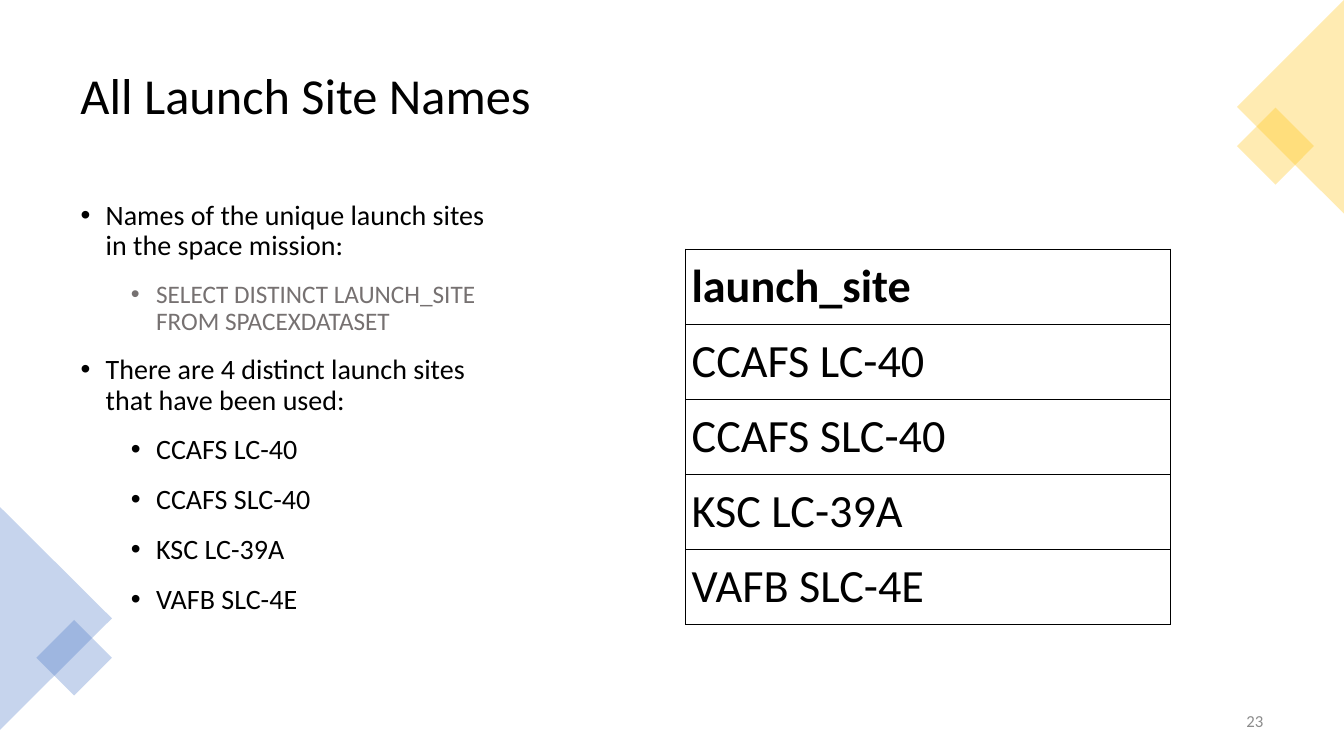
from lxml.etree import SubElement
from pptx import Presentation
from pptx.dml.color import RGBColor
from pptx.enum.shapes import MSO_SHAPE as Preset
from pptx.enum.text import MSO_ANCHOR as Anchor, PP_ALIGN as Align
from pptx.oxml.ns import qn
from pptx.util import Inches, Pt

THEME = {
    "font": "Calibri",
    "black": "000000", "white": "FFFFFF", "query": "767171", "number": "8C8C8C",
    "blue": "4472C4", "gold": "FFC000", "opacity": 30,
    "title": 36, "body": 20, "code": 18, "cell": 33, "small": 12,
}
SITES = ["CCAFS LC-40", "CCAFS SLC-40", "KSC LC-39A", "VAFB SLC-4E"]
MARGIN = 0.7


def write(paragraph, text, size, color="black", bold=False, **spacing):
    """Fill a paragraph with one styled run and set its paragraph formats."""
    run = paragraph.add_run()
    run.text = text
    font_format = {"name": THEME["font"], "size": Pt(THEME[size]), "bold": bold}
    for name, value in font_format.items():
        setattr(run.font, name, value)
    run.font.color.rgb = RGBColor.from_string(THEME[color])
    for name, value in spacing.items():
        setattr(paragraph, name, value)


def add_text_frame(left, top, width, height, anchor):
    box = slide.shapes.add_textbox(*map(Inches, (left, top, width, height)))
    box.text_frame.word_wrap = True
    box.text_frame.vertical_anchor = anchor
    return box.text_frame


presentation = Presentation()
presentation.slide_width, presentation.slide_height = Inches(13.33), Inches(7.5)
slide = presentation.slides.add_slide(presentation.slide_layouts[6])

# Title
title = add_text_frame(MARGIN, 0.35, 11.93, 1.24, Anchor.MIDDLE)
write(title.paragraphs[0], "All Launch Site Names", "title",
      line_spacing=0.9, space_after=Pt(6))

# Bullets: text, level, size, colour
bullets = [
    ("Names of the unique launch sites in the space mission:", 0, "body", "black"),
    ("SELECT DISTINCT LAUNCH_SITE FROM SPACEXDATASET", 1, "code", "query"),
    ("There are 4 distinct launch sites that have been used:", 0, "body", "black"),
] + [(site, 1, "body", "black") for site in SITES]
body = add_text_frame(MARGIN, 1.95, 4.38, 4.81, Anchor.TOP)
for index, (text, level, size, color) in enumerate(bullets):
    paragraph = body.add_paragraph() if index else body.paragraphs[0]
    properties = paragraph._p.get_or_add_pPr()
    properties.set("marL", str(Inches(0.25 + 0.5 * level)))
    properties.set("indent", str(Inches(-0.25)))
    SubElement(properties, qn("a:buFont"), typeface="Arial")
    SubElement(properties, qn("a:buChar"), char="•")
    write(paragraph, text, size, color, level=level, line_spacing=0.9,
          space_before=Pt(14 if index else 0))

# Corner ornaments: preset, centre x, centre y, width, height, rotation, colour
ornaments = [
    (Preset.ISOSCELES_TRIANGLE, 0.555, 6.135, 2.21, 1.11, 90, "blue"),
    (Preset.RECTANGLE, 0.735, 6.525, 0.53, 0.53, 45, "blue"),
    (Preset.RECTANGLE, 12.65, 1.45, 0.54, 0.54, 45, "gold"),
    (Preset.ISOSCELES_TRIANGLE, 12.8, 1.06, 2.12, 1.06, 270, "gold"),
]
for preset, center_x, center_y, width, height, rotation, color in ornaments:
    shape = slide.shapes.add_shape(preset, *map(Inches, (
        center_x - width / 2, center_y - height / 2, width, height)))
    shape.rotation = rotation
    shape.shadow.inherit = False
    shape.line.fill.background()
    shape.fill.solid()
    shape.fill.fore_color.rgb = RGBColor.from_string(THEME[color])
    fill_color = shape.element.spPr.find(qn("a:solidFill"))[0]
    SubElement(fill_color, qn("a:alpha"), val=str(THEME["opacity"] * 1000))

# Slide number
number = add_text_frame(9.63, 6.95, 3, 0.4, Anchor.MIDDLE)
write(number.paragraphs[0], "23", "small", "number",
      alignment=Align.RIGHT, space_after=Pt(6))

# Query result table
rows = ["launch_site"] + SITES
row_height = 0.745
table = slide.shapes.add_table(len(rows), 1, *map(Inches, (
    6.8, 2.47, 4.81, row_height * len(rows)))).table
table.first_row = table.horz_banding = False
cell_format = {"vertical_anchor": Anchor.MIDDLE} | {
    f"margin_{side}": Inches(0.06) for side in ("left", "right", "top", "bottom")}
for index, text in enumerate(rows):
    cell = table.cell(index, 0)
    for name, value in cell_format.items():
        setattr(cell, name, value)
    properties = cell._tc.get_or_add_tcPr()
    for edge in ("lnL", "lnR", "lnT", "lnB"):
        border = SubElement(properties, qn(f"a:{edge}"), w=str(Pt(0.6)))
        border_fill = SubElement(border, qn("a:solidFill"))
        SubElement(border_fill, qn("a:srgbClr"), val=THEME["black"])
    cell.fill.solid()
    cell.fill.fore_color.rgb = RGBColor.from_string(THEME["white"])
    write(cell.text_frame.paragraphs[0], text, "cell", bold=index == 0)

presentation.save("out.pptx")
